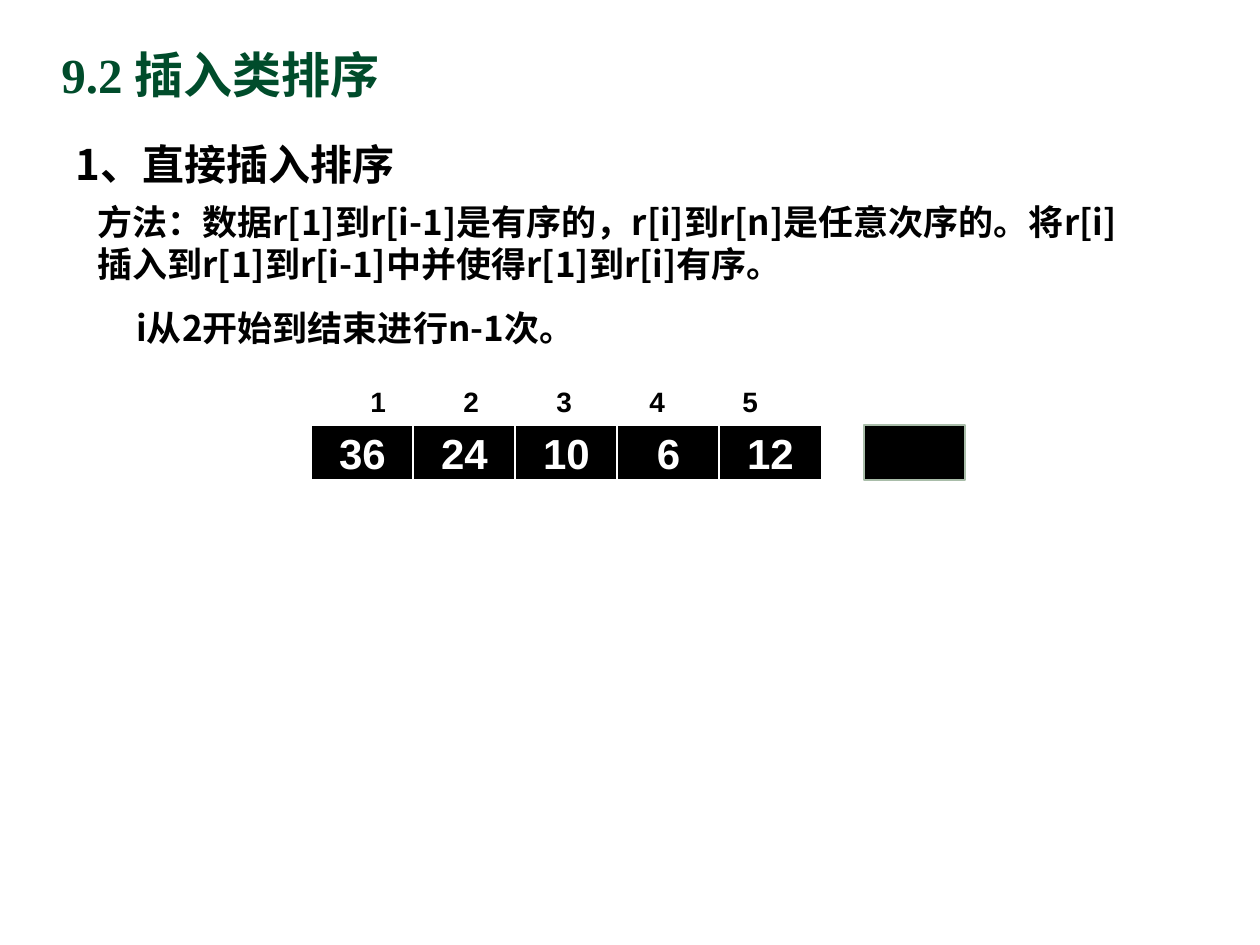
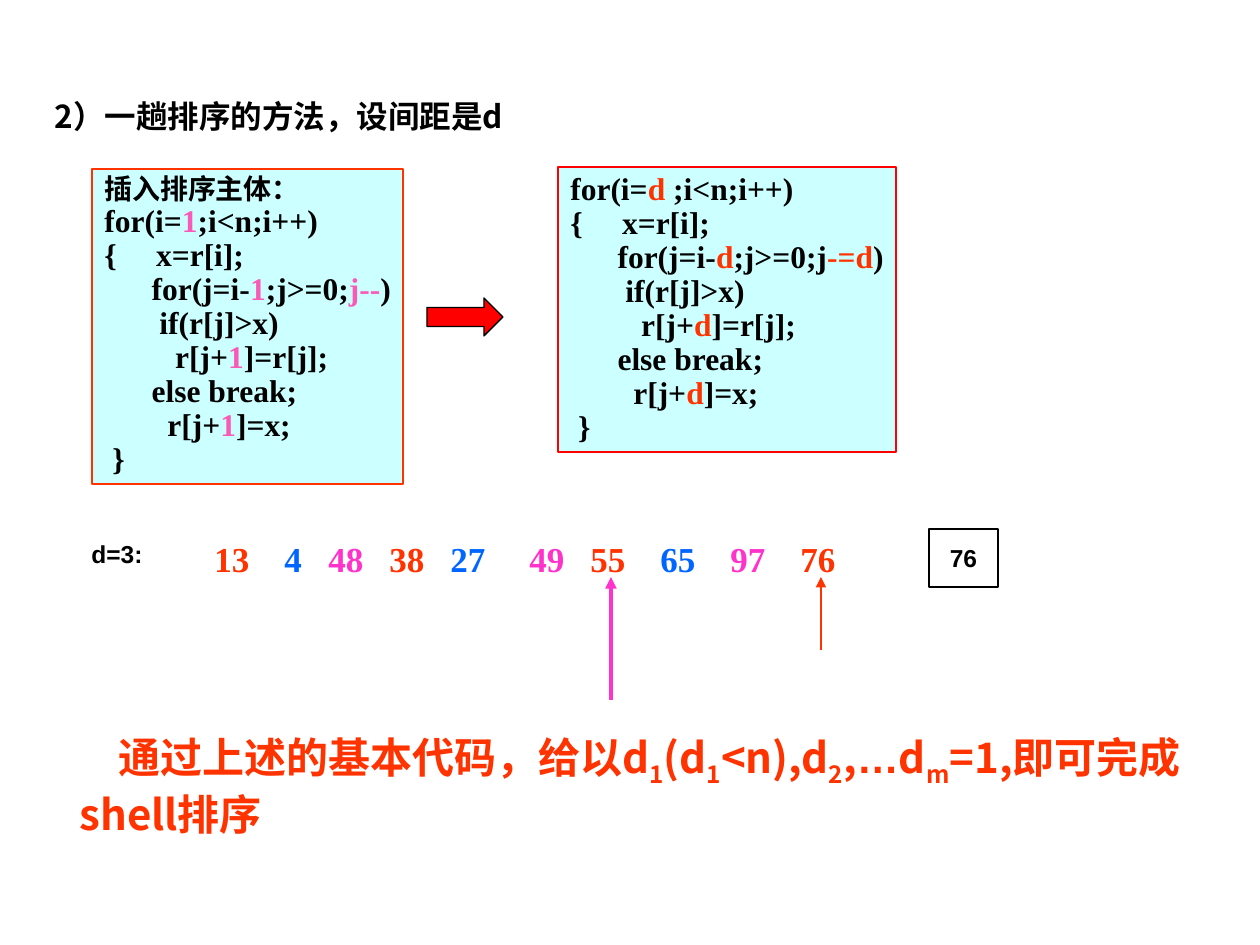
from dataclasses import dataclass
from typing import Optional, Sequence

from pptx import Presentation
from pptx.dml.color import RGBColor
from pptx.enum.shapes import MSO_CONNECTOR, MSO_SHAPE
from pptx.enum.text import MSO_ANCHOR, PP_ALIGN
from pptx.oxml.ns import qn
from pptx.oxml.xmlchemy import OxmlElement
from pptx.util import Emu, Pt

PX_PER_INCH = 126
COLORS = {
    "black": "000000", "white": "FFFFFF", "title": "004C2B", "code": "CCFFFF",
    "orange": "FF3300", "red": "FF0000", "blue": "0066FF", "magenta": "FF33CC",
    "pink": "F95AB7", "sage": "A9BDA9",
}
ARIAL, SERIF, SANS = "Arial", "Times New Roman", "Noto Sans CJK SC"


@dataclass(frozen=True)
class Area:
    left: int
    top: int
    width: int
    height: int


@dataclass(frozen=True)
class Span:
    text: str
    color: Optional[str] = None
    font: Optional[str] = None
    size: Optional[float] = None
    subscript: bool = False


@dataclass(frozen=True)
class Arrow:
    x: int
    bottom: int
    color: str
    weight: float


@dataclass(frozen=True)
class Listing:
    area: Area
    border: str
    accent: str
    lines: Sequence[str]
    heading: Optional[str] = None


def px(length: float) -> Emu:
    return Emu(round(length * 914400 / PX_PER_INCH))


def rgb(name: str) -> RGBColor:
    return RGBColor.from_string(COLORS[name])


def add_box(page, area: Area, *, shape=None, fill="white", border="black",
            anchor=MSO_ANCHOR.TOP, wrap=True):
    """Add a text box, or a filled preset shape when one is given."""
    place = [px(n) for n in (area.left, area.top, area.width, area.height)]
    if shape is None:
        box = page.shapes.add_textbox(*place)
    else:
        box = page.shapes.add_shape(shape, *place)
        box.shadow.inherit = False
        box.fill.solid()
        box.fill.fore_color.rgb = rgb(fill)
        box.line.color.rgb = rgb(border)
        box.line.width = Pt(0.75)
    box.text_frame.word_wrap = wrap
    box.text_frame.vertical_anchor = anchor
    return box


def add_text(box, text, *, size: float, font=SANS, color="black",
             align=PP_ALIGN.LEFT, before=0.0, spacing=None,
             margin=0, indent=0, tabs: Sequence[float] = ()) -> None:
    """Write one bold paragraph from a string or a list of spans."""
    frame = box.text_frame
    first = not frame.paragraphs[0].runs
    para = frame.paragraphs[0] if first else frame.add_paragraph()
    para.alignment = align
    if before:
        para.space_before = Pt(before)
    if spacing:
        para.line_spacing = spacing
    properties = para._p.get_or_add_pPr()
    if margin or indent:
        properties.set("marL", str(px(margin)))
        properties.set("indent", str(px(indent)))
    if tabs:
        stops = OxmlElement("a:tabLst")
        for position in tabs:
            stop = OxmlElement("a:tab")
            stop.set("pos", str(px(position)))
            stop.set("algn", "l")
            stops.append(stop)
        properties.append(stops)
    for span in [Span(text)] if isinstance(text, str) else text:
        run = para.add_run()
        run.text = span.text
        run.font.bold = True
        run.font.size = Pt(span.size or size)
        run.font.name = span.font or font
        run.font.color.rgb = rgb(span.color or color)
        run_properties = run._r.get_or_add_rPr()
        east_asian = OxmlElement("a:ea")
        east_asian.set("typeface", SANS)
        run_properties.append(east_asian)
        if span.subscript:
            run_properties.set("baseline", "-25000")


def add_cell(page, area: Area, text: str, *, size: float, **colors) -> None:
    box = add_box(page, area, shape=MSO_SHAPE.RECTANGLE,
                  anchor=MSO_ANCHOR.MIDDLE, wrap=False,
                  fill=colors["fill"], border=colors["border"])
    if text:
        add_text(box, text, size=size, font=ARIAL, color=colors["color"],
                 align=PP_ALIGN.CENTER)


def add_arrow(page, arrow: Arrow, top: int) -> None:
    line = page.shapes.add_connector(MSO_CONNECTOR.STRAIGHT, px(arrow.x),
                                     px(arrow.bottom), px(arrow.x), px(top))
    line.line.color.rgb = rgb(arrow.color)
    line.line.width = Pt(arrow.weight)
    properties = line.element.spPr
    tip = OxmlElement("a:tailEnd")
    tip.set("type", "triangle")
    properties.find(qn("a:ln")).append(tip)
    properties.append(OxmlElement("a:effectLst"))


def insertion_code(start: str, step: str, decrease: str) -> list[str]:
    """Return the sorting loop, with the accented parts between bars."""
    return [
        f"for(i={start};i<n;i++)",
        "{     x=r[i];",
        f"      for(j=i-|{step}|;j>=0;{decrease})",
        "       if(r[j]>x)",
        f"         r[j+|{step}|]=r[j];",
        "      else break;",
        f"        r[j+|{step}|]=x;",
        " }",
    ]


def add_listing(page, listing: Listing) -> None:
    box = add_box(page, listing.area, shape=MSO_SHAPE.RECTANGLE, fill="code",
                  border=listing.border, wrap=False)
    if listing.heading:
        add_text(box, listing.heading, size=16, font=SERIF, spacing=0.9)
    for line in listing.lines:
        spans = [Span(part, listing.accent if index % 2 else None)
                 for index, part in enumerate(line.split("|")) if part]
        add_text(box, spans, size=18, font=SERIF, spacing=0.9)


def build_direct_insertion(page) -> None:
    title = add_box(page, Area(49, 32, 465, 83), anchor=MSO_ANCHOR.MIDDLE)
    add_text(title, "9.2 插入类排序", size=28, font=SERIF, color="title")
    heading = add_box(page, Area(0, 132, 538, 63))
    add_text(heading, "1、直接插入排序", size=24, margin=63)
    method = add_box(page, Area(85, 194, 1057, 161))
    add_text(method, "方法：数据r[1]到r[i-1]是有序的，r[i]到r[n]是任意次序的。"
             "将r[i]插入到r[1]到r[i-1]中并使得r[1]到r[i]有序。", size=20)
    add_text(method, "i从2开始到结束进行n-1次。", size=20, before=12.5, margin=39)

    values = ["36", "24", "10", "6", "12"]
    positions = range(1, len(values) + 1)
    numbers = add_box(page, Area(358, 378, 420, 47), wrap=False)
    add_text(numbers, "\t".join(map(str, positions)), size=16, font=ARIAL,
             tabs=[93 * n for n in positions[:-1]])
    add_cell(page, Area(864, 425, 101, 55), "", size=24,
             fill="black", border="sage", color="white")
    for column, value in enumerate(values):
        add_cell(page, Area(311 + 102 * column, 425, 103, 55), value, size=24,
                 fill="black", border="white", color="white")


def build_shell_pass(page) -> None:
    listings = [
        Listing(Area(92, 169, 311, 315), "orange", "pink",
                insertion_code("|1|", "1", "|j--|"), "插入排序主体："),
        Listing(Area(558, 167, 338, 285), "red", "orange",
                insertion_code("|d| ", "d", "j|-=d|")),
    ]
    for listing in listings:
        add_listing(page, listing)
    add_box(page, Area(427, 298, 76, 38), shape=MSO_SHAPE.RIGHT_ARROW, fill="red")

    sequence = [(0, "13"), (70, "4"), (114, "48"), (175, "38"), (236, "27"),
                (315, "49"), (376, "55"), (446, "65"), (516, "97"), (586, "76")]
    group_colors = ["orange", "blue", "magenta"]
    spans = [Span(value if index == 0 else f"\t{value}", group_colors[index % 3])
             for index, (_, value) in enumerate(sequence)]
    row = add_box(page, Area(202, 531, 648, 55), wrap=False)
    add_text(row, spans, size=20, font=SERIF,
             tabs=[position for position, _ in sequence[1:]])
    gap = add_box(page, Area(79, 533, 76, 43), wrap=False)
    add_text(gap, "d=3:", size=14, font=ARIAL)
    for arrow in (Arrow(821, 650, "orange", 1.5), Arrow(611, 700, "magenta", 2.25)):
        add_arrow(page, arrow, 577)
    add_cell(page, Area(929, 529, 69, 58), "76", size=14,
             fill="white", border="black", color="black")

    conclusion = add_box(page, Area(67, 725, 1193, 121))
    add_text(conclusion, [
        Span("通过上述的基本代码，给以d"), Span("1", subscript=True),
        Span("(d"), Span("1", subscript=True),
        Span("<n),d"), Span("2", subscript=True),
        Span(","), Span("…", font=ARIAL), Span("d"), Span("m", subscript=True),
        Span("=1,即可完成shell排序"),
    ], size=24, color="orange", indent=39)
    heading = add_box(page, Area(42, 91, 488, 50))
    add_text(heading, "2）一趟排序的方法，设间距是d", size=18)


def main() -> None:
    deck = Presentation()
    deck.slide_width, deck.slide_height = px(1260), px(945)
    for build in (build_direct_insertion, build_shell_pass):
        build(deck.slides.add_slide(deck.slide_layouts[6]))
    deck.save("out.pptx")


if __name__ == "__main__":
    main()
